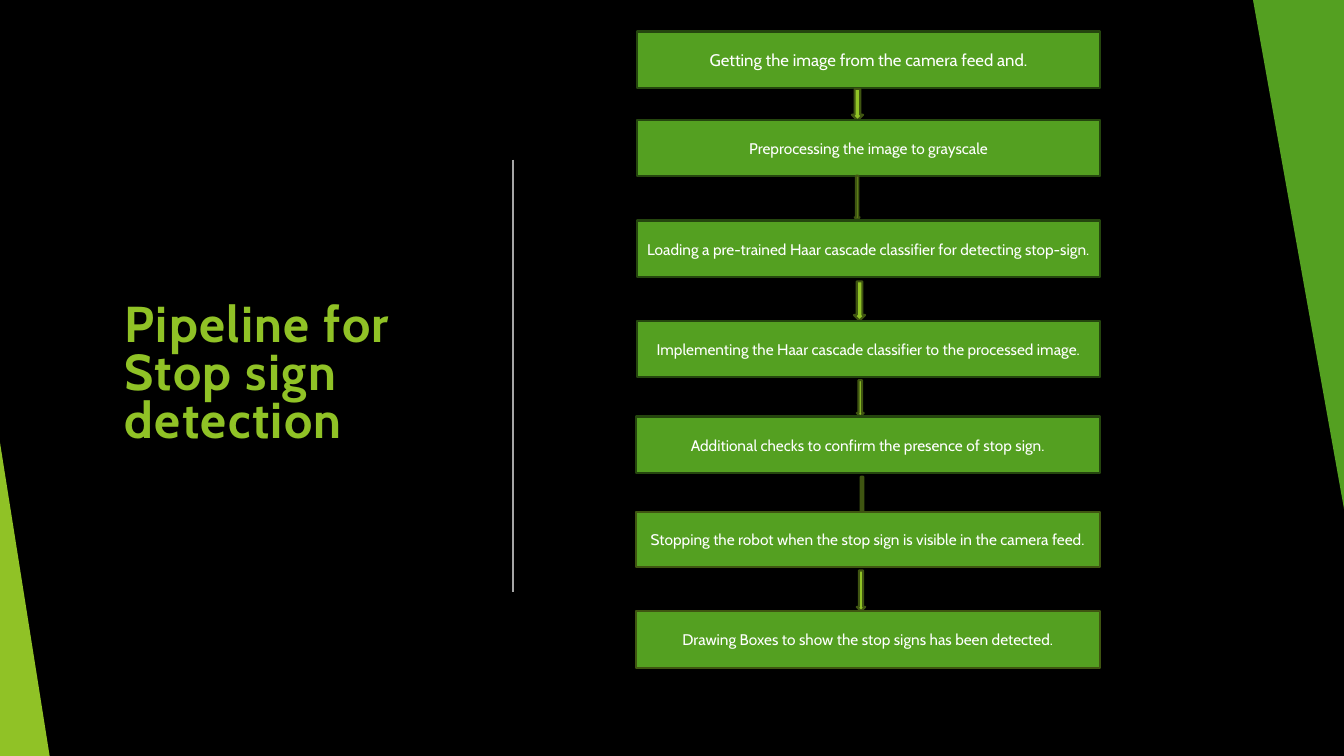
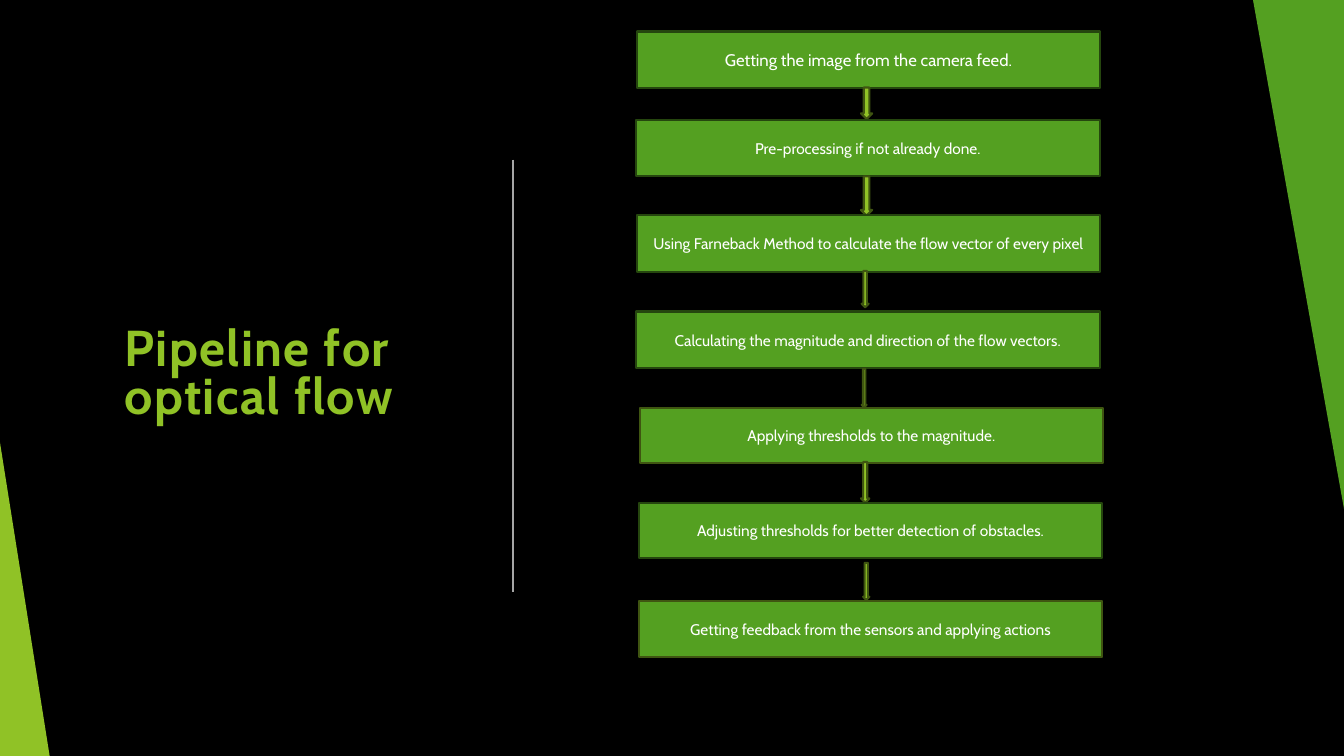
import pptx
import pptx.dml.color
import pptx.enum.shapes
import pptx.enum.text
import pptx.oxml
import pptx.util
from typing import NamedTuple

Pt = pptx.util.Pt
RGBColor = pptx.dml.color.RGBColor
SHAPES = pptx.enum.shapes.MSO_SHAPE
ALIGN = pptx.enum.text.PP_ALIGN
ANCHOR = pptx.enum.text.MSO_ANCHOR

# Shared look
BLACK = RGBColor(0x00, 0x00, 0x00)
WHITE = RGBColor(0xFF, 0xFF, 0xFF)
LIME = RGBColor(0x90, 0xC2, 0x26)
GREEN = RGBColor(0x54, 0xA0, 0x21)
DARK_GREEN = RGBColor(0x25, 0x46, 0x0E)
OLIVE = RGBColor(0x3F, 0x55, 0x11)
GRAY = RGBColor(0xA6, 0xA6, 0xA6)

FONT = "Cabin"
TITLE_FORMAT = {"name": FONT, "size": Pt(36), "bold": True}
FIRST_STEP_FORMAT = {"name": FONT, "size": Pt(12)}
STEP_FORMAT = {"name": FONT, "size": Pt(11)}

# Regions as left, top, width, height in points
SLIDE_WIDTH, SLIDE_HEIGHT = 960, 540
TITLE_BOX = (82, 93, 260, 351)
FLOW_BOX = (455, 22.5, 331, 477)
LEFT_WEDGE = (0, 316, 35.5, 224)
RIGHT_WEDGE = (895, 0, 65, 363.5)
DIVIDER = (366.5, 114, 423)


class Arrow(NamedTuple):
    left: float    # from the left of the flow
    gap: float     # below the step it leaves
    width: float
    height: float


class Step(NamedTuple):
    text: str
    top: float     # from the top of the flow
    arrow: Arrow | None = None
    height: float = 40.5
    shift: float = 0
    edge: RGBColor = DARK_GREEN


STOP_SIGN_STEPS = [
    Step("Getting the image from the camera feed and.", 0, Arrow(153.5, 0.5, 8, 22.5)),
    Step("Preprocessing the image to grayscale", 63, Arrow(155.5, -0.5, 3.5, 31.5)),
    Step("Loading a pre-trained Haar cascade classifier for detecting stop-sign.",
         135, Arrow(155, 3, 8, 28)),
    Step("Implementing the Haar cascade classifier to the processed image.",
         206.5, Arrow(157, 2, 5, 26)),
    Step("Additional checks to confirm the presence of stop sign.",
         275, Arrow(159, 2.5, 3.5, 27.5), shift=-0.5),
    Step("Stopping the robot when the stop sign is visible in the camera feed.",
         343.5, Arrow(157, 2.5, 6, 29), height=39, shift=-0.5, edge=OLIVE),
    Step("Drawing Boxes to show the stop signs has been detected.",
         414, shift=-0.5, edge=OLIVE),
]
OPTICAL_FLOW_STEPS = [
    Step("Getting the image from the camera feed.", 0, Arrow(160, -0.5, 8, 22.5)),
    Step("Pre-processing if not already done.", 63, Arrow(160, 0, 8, 28), shift=-0.5),
    Step("Using Farneback Method to calculate the flow vector of every pixel",
         131, Arrow(160.5, -0.5, 5, 26)),
    Step("Calculating the magnitude and direction of the flow vectors.",
         200, Arrow(160.5, 0.5, 3.5, 27.5), shift=-0.5),
    Step("Applying thresholds to the magnitude.",
         269, Arrow(160, -0.5, 6, 29), height=39, shift=2, edge=OLIVE),
    Step("Adjusting thresholds for better detection of obstacles.",
         337, Arrow(161.5, 3.5, 4.5, 26.5), height=39, shift=1.5),
    Step("Getting feedback from the sensors and applying actions",
         406.5, shift=1.5, edge=OLIVE),
]


def apply_font(font, color, values):
    for name, value in values.items():
        setattr(font, name, value)
    font.color.rgb = color


def add_shape(slide, kind, box, fill, edge=None):
    shape = slide.shapes.add_shape(kind, *map(Pt, box))
    shape.shadow.inherit = False
    shape.fill.solid()
    shape.fill.fore_color.rgb = fill
    if edge is None:
        shape.line.fill.background()
    else:
        shape.line.color.rgb = edge
        shape.line.width = Pt(1.5)
    return shape


def add_wedge(slide, box, fill, rotation=0):
    wedge = add_shape(slide, SHAPES.ISOSCELES_TRIANGLE, box, fill)
    wedge.adjustments[0] = 0
    wedge.rotation = rotation


def add_frame(slide):
    """Black background, corner wedges and the line beside the title."""
    slide.background.fill.solid()
    slide.background.fill.fore_color.rgb = BLACK
    add_wedge(slide, LEFT_WEDGE, LIME)
    add_wedge(slide, RIGHT_WEDGE, GREEN, rotation=180)

    x, top, bottom = map(Pt, DIVIDER)
    line = slide.shapes.add_connector(
        pptx.enum.shapes.MSO_CONNECTOR.STRAIGHT, x, top, x, bottom)
    line.line.color.rgb = GRAY
    line.line.width = Pt(1)
    properties = line._element.spPr
    properties.append(properties.makeelement(pptx.oxml.ns.qn("a:effectLst"), {}))


def add_title(slide, box, text):
    text_frame = slide.shapes.add_textbox(*map(Pt, box)).text_frame
    text_frame.word_wrap = True
    text_frame.vertical_anchor = ANCHOR.MIDDLE
    paragraph = text_frame.paragraphs[0]
    paragraph.line_spacing = 0.8
    run = paragraph.add_run()
    run.text = text
    apply_font(run.font, LIME, TITLE_FORMAT)
    run._r.get_or_add_rPr().set("spc", "100")


def add_step(slide, box, step, values):
    shape = add_shape(slide, SHAPES.RECTANGLE, box, GREEN, step.edge)
    text_frame = shape.text_frame
    text_frame.word_wrap = True
    text_frame.vertical_anchor = ANCHOR.MIDDLE
    text_frame.margin_left = text_frame.margin_right = Pt(4)
    paragraph = text_frame.paragraphs[0]
    paragraph.alignment = ALIGN.CENTER
    run = paragraph.add_run()
    run.text = step.text
    apply_font(run.font, WHITE, values)


def add_flow(slide, box, steps):
    """Column of steps, each followed by its down arrow."""
    left, top, width, _ = box
    for index, step in enumerate(steps):
        step_top = top + step.top
        add_step(slide, (left + step.shift, step_top, width, step.height), step,
                 STEP_FORMAT if index else FIRST_STEP_FORMAT)
        if step.arrow:
            arrow = step.arrow
            arrow_top = step_top + step.height + arrow.gap
            add_shape(slide, SHAPES.DOWN_ARROW,
                      (left + arrow.left, arrow_top, arrow.width, arrow.height),
                      LIME, OLIVE)


def add_pipeline_slide(presentation, title, steps):
    slide = presentation.slides.add_slide(presentation.slide_layouts[6])
    add_frame(slide)
    add_title(slide, TITLE_BOX, title)
    add_flow(slide, FLOW_BOX, steps)


def main():
    presentation = pptx.Presentation()
    presentation.slide_width = Pt(SLIDE_WIDTH)
    presentation.slide_height = Pt(SLIDE_HEIGHT)
    add_pipeline_slide(presentation, "Pipeline for Stop sign detection", STOP_SIGN_STEPS)
    add_pipeline_slide(presentation, "Pipeline for optical flow", OPTICAL_FLOW_STEPS)
    presentation.save("out.pptx")


if __name__ == "__main__":
    main()
